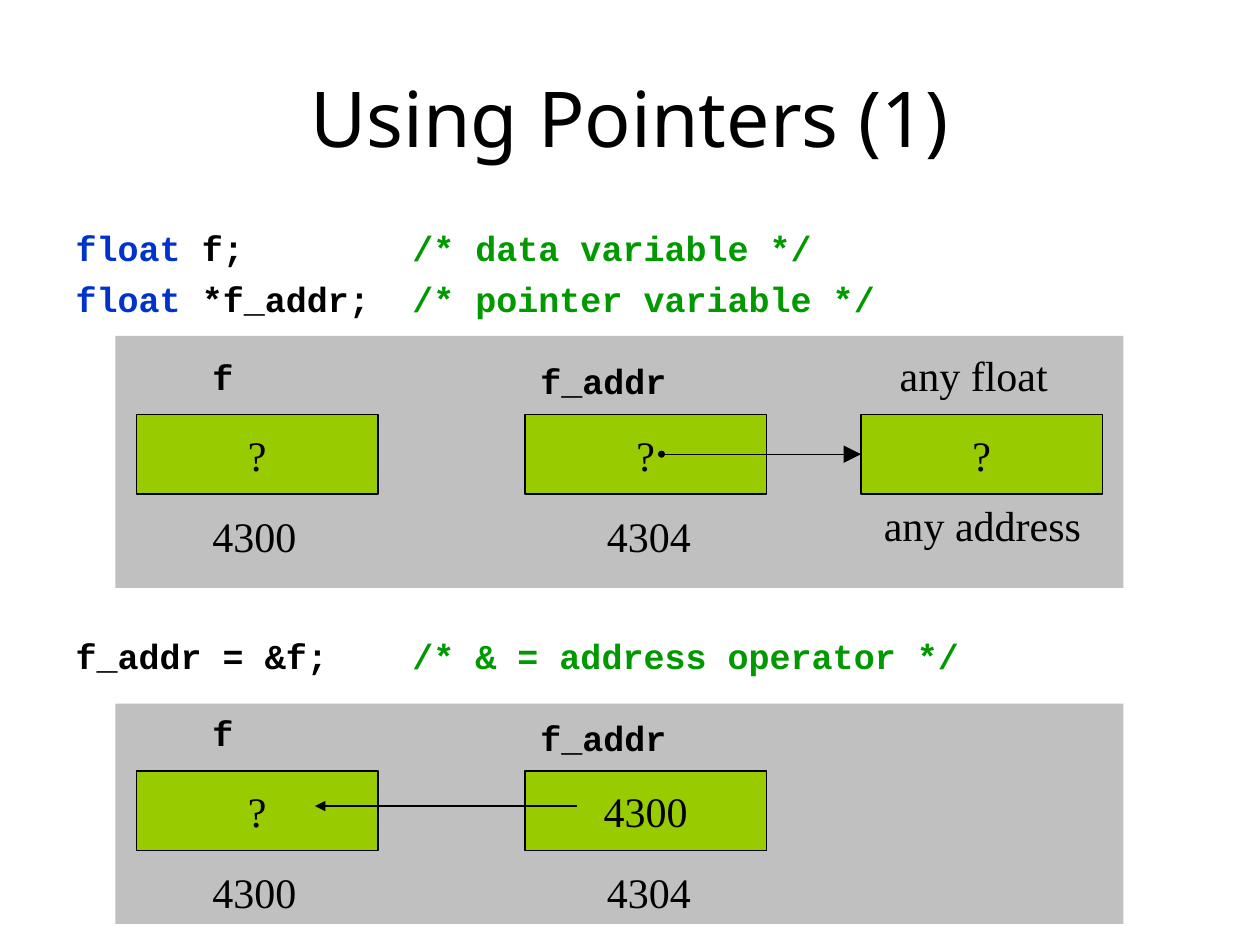
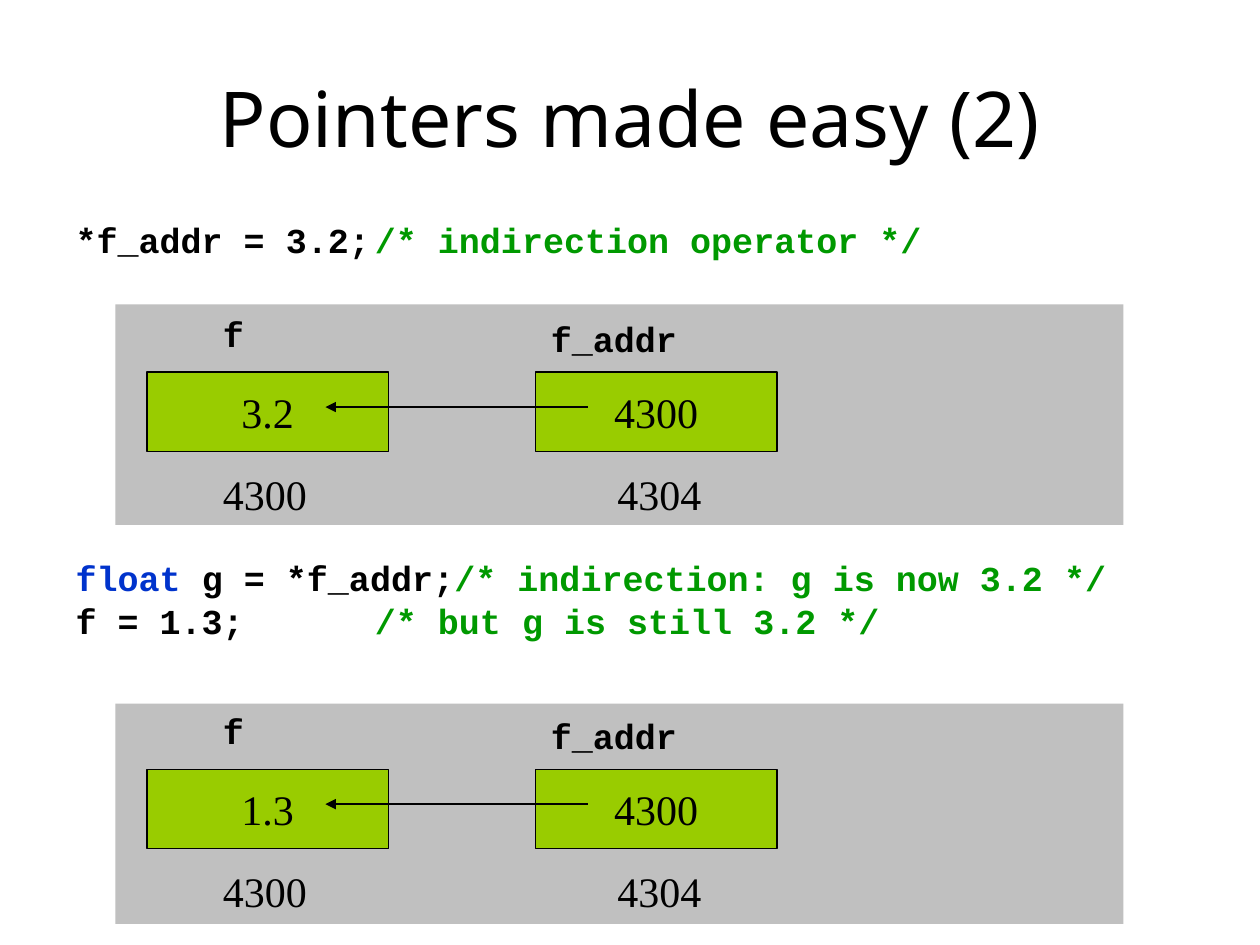
from dataclasses import dataclass

from lxml import etree
from pptx import Presentation
from pptx.dml.color import RGBColor
from pptx.enum import shapes, text
from pptx.oxml import ns
from pptx.util import Pt


@dataclass(frozen=True)
class Theme:
    black: str = "000000"
    keyword: str = "0033CC"
    comment: str = "009900"
    panel: str = "C0C0C0"
    cell: str = "99CC00"
    title_font: str = "Noto Sans"
    code_font: str = "Courier New"
    label_font: str = "Times New Roman"
    title_size: float = 44
    code_size: float = 20
    label_size: float = 24
    line_width: float = 0.75


@dataclass(frozen=True)
class Label:
    """A label placed relative to the top left corner of its memory cell."""
    text: str
    dx: float
    dy: float
    width: float
    code: bool = False


@dataclass(frozen=True)
class Cell:
    dx: float
    value: str
    labels: tuple[Label, ...]


@dataclass(frozen=True)
class Diagram:
    panel_top: float
    panel_height: float
    left: float
    top: float
    cells: tuple[Cell, ...]
    points_back: bool = True


@dataclass(frozen=True)
class CodeLine:
    runs: tuple[tuple[str, str], ...]
    space_before: float = 5


@dataclass(frozen=True)
class PointerSlide:
    title: str
    code: tuple[CodeLine, ...]
    diagrams: tuple[Diagram, ...]
    line_spacing: float = 1.0


THEME = Theme()
CELL_WIDTH, CELL_HEIGHT = 138, 45.5
PANEL_LEFT, PANEL_WIDTH = 66, 576
POINTER_DX = 222
TARGET_DX = 414
CODE_INDENT = 27
TAB_STEP = 72
TAB_COUNT = 8


def variable_cells(f_value: str, address_value: str) -> tuple[Cell, Cell]:
    return (
        Cell(0, f_value, (Label("f", 36.3, -37.5, 28, True),
                          Label("4300", 36.3, 51.3, 64))),
        Cell(POINTER_DX, address_value, (Label("f_addr", 1.7, -35, 88, True),
                                         Label("4304", 39.7, 51.3, 64))),
    )


ANY_FLOAT = Cell(TARGET_DX, "?", (Label("any float", 15, -40.4, 106),
                                  Label("any address", 6, 45.3, 134)))

SLIDES = (
    PointerSlide(
        "Using Pointers (1)",
        (
            CodeLine((("float", THEME.keyword), (" f;        ", THEME.black),
                      ("/* data variable */", THEME.comment)), 0),
            CodeLine((("float", THEME.keyword), (" *f_addr;  ", THEME.black),
                      ("/* pointer variable */", THEME.comment))),
            CodeLine((("f_addr = &f;    ", THEME.black),
                      ("/* & = address operator */", THEME.comment)), 180),
        ),
        (
            Diagram(192, 144, 78, 236.8, (*variable_cells("?", "?"), ANY_FLOAT), False),
            Diagram(402, 126, 78, 440.6, variable_cells("?", "4300")),
        ),
    ),
    PointerSlide(
        "Pointers made easy (2)",
        (
            CodeLine((("*f_addr = 3.2;\t", THEME.black),
                      ("/* indirection operator */", THEME.comment)), 0),
            CodeLine((("float", THEME.keyword), (" g = *f_addr;", THEME.black),
                      ("/* indirection: g is now 3.2 */", THEME.comment)), 174),
            CodeLine((("f = 1.3;\t\t", THEME.black),
                      ("/* but g is still 3.2 */", THEME.comment))),
        ),
        (
            Diagram(174, 126, 84, 212.6, variable_cells("3.2", "4300")),
            Diagram(402, 126, 84, 439.5, variable_cells("1.3", "4300")),
        ),
        0.8,
    ),
)


def write(paragraph, content: str, *, font: str = THEME.label_font,
          size: float = THEME.label_size, color: str = THEME.black,
          bold: bool = False) -> None:
    run = paragraph.add_run()
    run.text = content
    run.font.name = font
    run.font.size = Pt(size)
    run.font.bold = bold
    run.font.color.rgb = RGBColor.from_string(color)


def place(shape, left: float, top: float, width: float, height: float) -> None:
    shape.left, shape.top = Pt(left), Pt(top)
    shape.width, shape.height = Pt(width), Pt(height)


def add_rectangle(slide, left: float, top: float, width: float, height: float,
                  fill: str, outlined: bool = False):
    shape = slide.shapes.add_shape(shapes.MSO_SHAPE.RECTANGLE, Pt(left), Pt(top),
                                   Pt(width), Pt(height))
    shape.shadow.inherit = False
    shape.fill.solid()
    shape.fill.fore_color.rgb = RGBColor.from_string(fill)
    if outlined:
        shape.line.color.rgb = RGBColor.from_string(THEME.black)
        shape.line.width = Pt(THEME.line_width)
    else:
        shape.line.fill.background()
    return shape


def add_label(slide, label: Label, left: float, top: float) -> None:
    height = 31.5 if label.code else 36
    box = slide.shapes.add_textbox(Pt(left + label.dx), Pt(top + label.dy),
                                   Pt(label.width), Pt(height))
    frame = box.text_frame
    frame.word_wrap = False
    frame.auto_size = text.MSO_AUTO_SIZE.SHAPE_TO_FIT_TEXT
    if label.code:
        write(frame.paragraphs[0], label.text, font=THEME.code_font,
              size=THEME.code_size, bold=True)
    else:
        write(frame.paragraphs[0], label.text)


def add_cell(slide, cell: Cell, left: float, top: float):
    left += cell.dx
    shape = add_rectangle(slide, left, top, CELL_WIDTH, CELL_HEIGHT, THEME.cell, True)
    frame = shape.text_frame
    frame.word_wrap = False
    frame.vertical_anchor = text.MSO_ANCHOR.MIDDLE
    frame.paragraphs[0].alignment = text.PP_ALIGN.CENTER
    write(frame.paragraphs[0], cell.value)
    for label in cell.labels:
        add_label(slide, label, left, top)
    return shape


def add_arrow(slide, start: float, end: float, y: float,
              ends: dict[str, tuple[str, str]]):
    """Draw a horizontal arrow; ends maps a line end to its type and size."""
    arrow = slide.shapes.add_connector(shapes.MSO_CONNECTOR.STRAIGHT,
                                       Pt(start), Pt(y), Pt(end), Pt(y))
    arrow.line.color.rgb = RGBColor.from_string(THEME.black)
    arrow.line.width = Pt(THEME.line_width)
    line = arrow.line._get_or_add_ln()
    for tag, (kind, size) in ends.items():
        etree.SubElement(line, ns.qn(f"a:{tag}"), type=kind, w=size, len=size)
    etree.SubElement(arrow._element.spPr, ns.qn("a:effectLst"))
    return arrow


def add_diagram(slide, diagram: Diagram) -> None:
    add_rectangle(slide, PANEL_LEFT, diagram.panel_top, PANEL_WIDTH,
                  diagram.panel_height, THEME.panel)
    boxes = [add_cell(slide, cell, diagram.left, diagram.top) for cell in diagram.cells]
    if diagram.points_back:
        add_arrow(slide, diagram.left + POINTER_DX + 30, diagram.left + 102,
                  diagram.top + 20, {"tailEnd": ("triangle", "med")})
    else:
        arrow = add_arrow(slide, diagram.left + POINTER_DX + 78,
                          diagram.left + TARGET_DX, diagram.top + CELL_HEIGHT / 2,
                          {"headEnd": ("oval", "sm"), "tailEnd": ("triangle", "lg")})
        arrow.end_connect(boxes[-1], 1)


def fill_title(shape, title: str) -> None:
    place(shape, 36, 21.6, 648, 90)
    frame = shape.text_frame
    frame.auto_size = text.MSO_AUTO_SIZE.NONE
    frame.vertical_anchor = text.MSO_ANCHOR.MIDDLE
    frame.paragraphs[0].alignment = text.PP_ALIGN.CENTER
    write(frame.paragraphs[0], title, font=THEME.title_font, size=THEME.title_size)


def fill_code(shape, lines: tuple[CodeLine, ...], line_spacing: float) -> None:
    place(shape, 36, 126, 648, 356.4)
    frame = shape.text_frame
    frame.auto_size = text.MSO_AUTO_SIZE.NONE
    for index, line in enumerate(lines):
        paragraph = frame.add_paragraph() if index else frame.paragraphs[0]
        properties = paragraph._p.get_or_add_pPr()
        properties.set("marL", str(Pt(CODE_INDENT)))
        properties.set("indent", str(-Pt(CODE_INDENT)))
        properties.set("defTabSz", str(Pt(TAB_STEP)))
        etree.SubElement(properties, ns.qn("a:buNone"))
        tabs = etree.SubElement(properties, ns.qn("a:tabLst"))
        for stop in range(TAB_COUNT):
            etree.SubElement(tabs, ns.qn("a:tab"), pos=str(Pt(stop * TAB_STEP)), algn="l")
        paragraph.line_spacing = line_spacing
        paragraph.space_before = Pt(line.space_before)
        for content, color in line.runs:
            write(paragraph, content, font=THEME.code_font, size=THEME.code_size,
                  color=color, bold=True)


def main() -> None:
    presentation = Presentation()
    presentation.slide_width, presentation.slide_height = Pt(720), Pt(540)
    for content in SLIDES:
        slide = presentation.slides.add_slide(presentation.slide_layouts[1])
        fill_title(slide.shapes.title, content.title)
        fill_code(slide.placeholders[1], content.code, content.line_spacing)
        for diagram in content.diagrams:
            add_diagram(slide, diagram)
    presentation.save("out.pptx")


if __name__ == "__main__":
    main()
